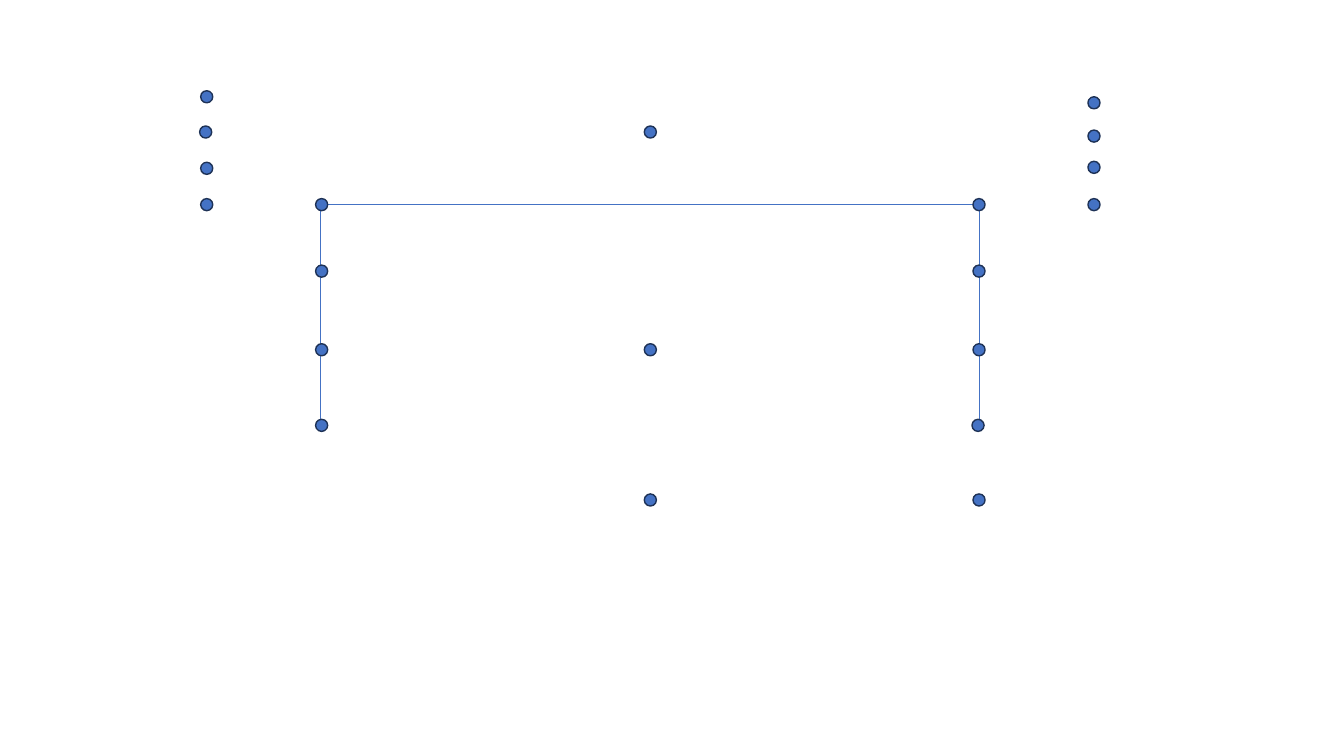
"""Draw a three-sided frame with columns of marker dots."""
import pptx
import pptx.dml.color
import pptx.enum.shapes
import pptx.oxml.ns
import pptx.util
import lxml.etree

Inches = pptx.util.Inches
COLOURS = {"blue": "4472C4", "navy": "1E3256"}
DOT_SIZE = 0.12
FRAME_LEFT, FRAME_RIGHT, FRAME_TOP, FRAME_BOTTOM = 3.18, 9.71, 2.03, 4.21
FRAME_CORNERS = [
    (FRAME_LEFT, FRAME_BOTTOM),
    (FRAME_LEFT, FRAME_TOP),
    (FRAME_RIGHT, FRAME_TOP),
    (FRAME_RIGHT, FRAME_BOTTOM),
]
DOT_COLUMNS = [
    (1.99, [0.9, 1.61, 1.97]),
    (1.98, [1.25]),
    (3.13, [1.97, 2.63, 3.41, 4.16]),
    (6.39, [1.25, 3.41, 4.9]),
    (9.65, [1.97, 2.63, 3.41, 4.9]),
    (9.64, [4.16]),
    (10.79, [0.96, 1.29, 1.6, 1.97]),
]


class Sketch:
    """Hold the drawing style and the current slide."""

    def __init__(self, page):
        self.page = page
        self.dot_outline = {"colour": "navy", "width": 1}
        self.frame_line = {"colour": "blue", "width": 0.5}

    def colour(self, name):
        """Return the named colour."""
        return pptx.dml.color.RGBColor.from_string(COLOURS[name])

    def stroke(self, line, style):
        """Apply a colour and a width to a line."""
        line.color.rgb = self.colour(style["colour"])
        line.width = pptx.util.Pt(style["width"])

    def edge(self, start, end):
        """Draw one straight side of the frame."""
        connector = self.page.shapes.add_connector(
            pptx.enum.shapes.MSO_CONNECTOR.STRAIGHT,
            *(Inches(value) for value in (*start, *end)))
        self.stroke(connector.line, self.frame_line)
        properties = connector._element.spPr
        lxml.etree.SubElement(properties, pptx.oxml.ns.qn("a:effectLst"))

    def dot(self, left, top):
        """Draw one marker dot."""
        shape = self.page.shapes.add_shape(
            pptx.enum.shapes.MSO_SHAPE.OVAL,
            *(Inches(value) for value in (left, top, DOT_SIZE, DOT_SIZE)))
        shape.shadow.inherit = False
        shape.fill.solid()
        shape.fill.fore_color.rgb = self.colour("blue")
        self.stroke(shape.line, self.dot_outline)


def main():
    """Build and save the deck."""
    deck = pptx.Presentation()
    size = {"slide_width": 13.33, "slide_height": 7.5}
    for name, value in size.items():
        setattr(deck, name, Inches(value))
    sketch = Sketch(deck.slides.add_slide(deck.slide_layouts[6]))
    for start, end in zip(FRAME_CORNERS, FRAME_CORNERS[1:]):
        sketch.edge(start, end)
    for left, tops in DOT_COLUMNS:
        for top in tops:
            sketch.dot(left, top)
    deck.save("out.pptx")


if __name__ == "__main__":
    main()
